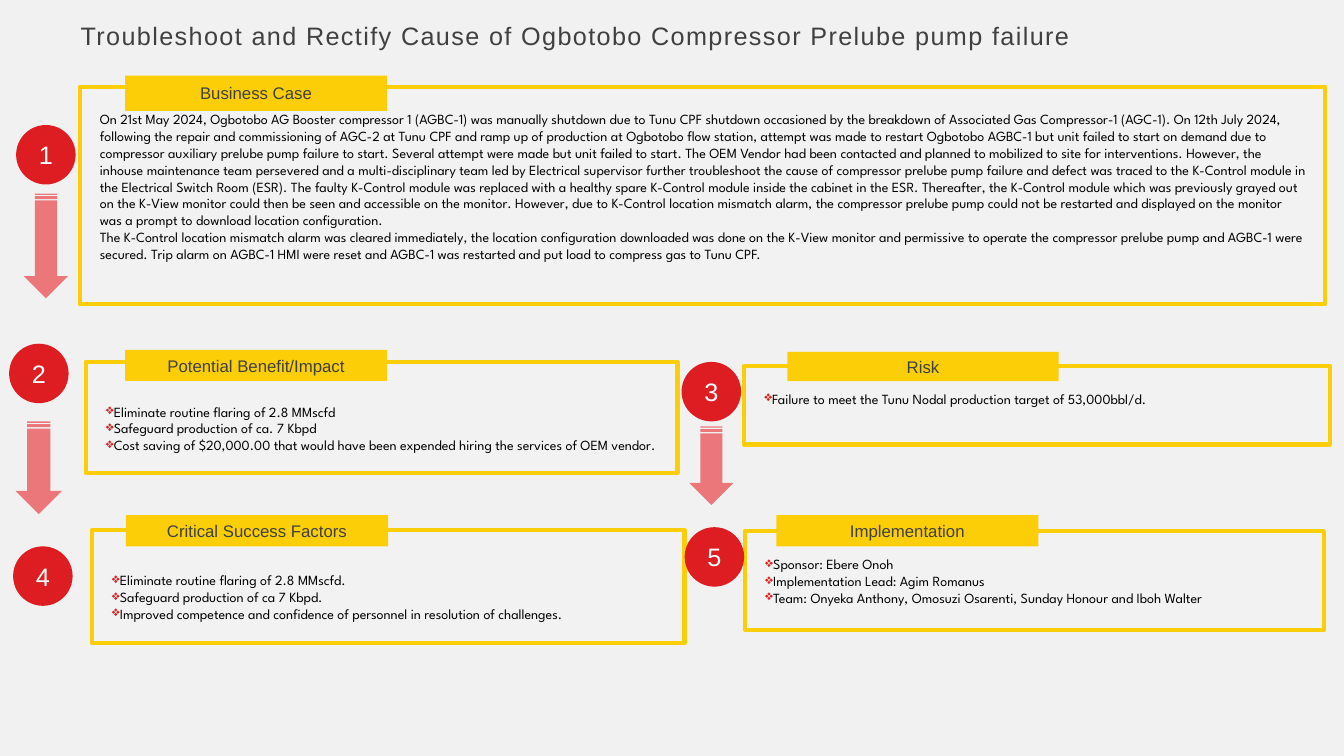
"""Builds a one-slide summary of the Ogbotobo compressor prelube pump repair."""
from lxml import etree
from pptx import Presentation
from pptx.dml.color import RGBColor
from pptx.enum.shapes import MSO_SHAPE
from pptx.enum.text import MSO_ANCHOR, PP_ALIGN
from pptx.oxml.ns import qn
from pptx.util import Inches, Pt

RECT, OVAL, ARROW = MSO_SHAPE.RECTANGLE, MSO_SHAPE.OVAL, MSO_SHAPE.STRIPED_RIGHT_ARROW
TOP, MIDDLE = MSO_ANCHOR.TOP, MSO_ANCHOR.MIDDLE
LEFT, CENTER = PP_ALIGN.LEFT, PP_ALIGN.CENTER

COLORS = {"page": "F1F1F1", "card": "F2F2F2", "gold": "FBCE07", "red": "DD1D21",
          "pink": "EB777A", "heading": "404040", "body": "000000", "number": "FFFFFF"}
HEADING_FONT, BODY_FONT = "Arial", "League Spartan"
BADGE_SIZE = 0.59
CARD_INSETS = (0.2, 0.24, 0.2, 0.05)
LOW_INSETS = (0.2, 0.41, 0.2, 0.05)
LABEL_INSETS = (0.1, 0.05, 0.1, 0.05)

TITLE = "Troubleshoot and Rectify Cause of Ogbotobo Compressor Prelube pump failure"
FAILURE = [
    "On 21st May 2024, Ogbotobo AG Booster compressor 1 (AGBC-1) was manually shutdown due to "
    "Tunu CPF shutdown occasioned by the breakdown of Associated Gas Compressor-1 (AGC-1).",
    "On 12th July 2024, following the repair and commissioning of AGC-2 at Tunu CPF and ramp up "
    "of production at Ogbotobo flow station, attempt was made to restart Ogbotobo AGBC-1 but unit "
    "failed to start on demand due to compressor auxiliary prelube pump failure to start.",
    "Several attempt were made but unit failed to start.",
    "The OEM Vendor had been contacted and planned to mobilized to site for interventions.",
    "However, the inhouse maintenance team persevered and a multi-disciplinary team led by "
    "Electrical supervisor further troubleshoot the cause of compressor prelube pump failure and "
    "defect was traced to the K-Control module in the Electrical Switch Room (ESR).",
    "The faulty K-Control module was replaced with a healthy spare K-Control module inside the "
    "cabinet in the ESR.",
    "Thereafter, the K-Control module which was previously grayed out on the K-View monitor could "
    "then be seen and accessible on the monitor.",
    "However, due to K-Control location mismatch alarm, the compressor prelube pump could not be "
    "restarted and displayed on the monitor was a prompt to download location configuration.",
]
RECOVERY = [
    "The K-Control location mismatch alarm was cleared immediately, the location configuration "
    "downloaded was done on the K-View monitor and permissive to operate the compressor prelube "
    "pump and AGBC-1 were secured.",
    "Trip alarm on AGBC-1 HMI were reset and AGBC-1 was restarted and put load to compress gas to "
    "Tunu CPF.",
]
SECTIONS = [
    {"number": "1", "heading": "Business Case", "bullet": None,
     "lines": [" ".join(sentences) for sentences in (FAILURE, RECOVERY)],
     "insets": CARD_INSETS, "card": (0.79, 0.86, 12.35, 2.16),
     "label": (1.24, 0.75, 2.6, 0.35), "badge": (0.16, 1.24), "arrow": (1.92, 1.04, 0.44)},
    {"number": "2", "heading": "Potential Benefit/Impact", "bullet": "❖",
     "lines": ["Eliminate routine flaring of 2.8 MMscfd",
               "Safeguard production of ca. 7 Kbpd",
               "Cost saving of $20,000.00 that would have been expended hiring the services "
               "of OEM vendor."],
     "insets": LOW_INSETS, "card": (0.85, 3.59, 5.87, 1.1),
     "label": (1.24, 3.47, 2.6, 0.31), "badge": (0.09, 3.41), "arrow": (4.18, 0.92, 0.46)},
    {"number": "3", "heading": "Risk", "bullet": "❖",
     "lines": ["Failure to meet the Tunu Nodal production target of 53,000bbl/d."],
     "insets": CARD_INSETS, "card": (7.38, 3.63, 5.81, 0.78),
     "label": (7.81, 3.49, 2.69, 0.29), "badge": (6.76, 3.59), "arrow": (4.23, 0.78, 0.44)},
    {"number": "4", "heading": "Critical Success Factors", "bullet": "❖",
     "lines": ["Eliminate routine flaring of 2.8 MMscfd.",
               "Safeguard production of ca 7 Kbpd.",
               "Improved competence and confidence of personnel in resolution of challenges."],
     "insets": LOW_INSETS, "card": (0.91, 5.26, 5.88, 1.12),
     "label": (1.25, 5.11, 2.6, 0.31), "badge": (0.13, 5.42), "arrow": None},
    {"number": "5", "heading": "Implementation", "bullet": "❖",
     "lines": ["Sponsor: Ebere Onoh",
               "Implementation Lead: Agim Romanus",
               "Team: Onyeka Anthony, Omosuzi Osarenti, Sunday Honour and Iboh Walter"],
     "insets": CARD_INSETS, "card": (7.39, 5.27, 5.74, 0.98),
     "label": (7.7, 5.11, 2.6, 0.31), "badge": (6.79, 5.23), "arrow": None},
]


def write(frame, lines, size, color, font=HEADING_FONT, align=CENTER, anchor=MIDDLE,
          insets=LABEL_INSETS, bullet=None, tracking=None, line_spacing=None):
    frame.word_wrap = True
    frame.vertical_anchor = anchor
    (frame.margin_left, frame.margin_top,
     frame.margin_right, frame.margin_bottom) = map(Inches, insets)
    for index, line in enumerate(lines):
        paragraph = frame.paragraphs[0] if index == 0 else frame.add_paragraph()
        paragraph.alignment = align
        if line_spacing:
            paragraph.line_spacing = line_spacing
        if bullet:
            properties = paragraph._p.get_or_add_pPr()
            properties.set("marL", "0")
            properties.set("indent", str(Inches(-0.19)))
            bullet_color = etree.SubElement(properties, qn("a:buClr"))
            etree.SubElement(bullet_color, qn("a:srgbClr"), val=COLORS["red"])
            etree.SubElement(properties, qn("a:buChar"), char=bullet)
        run = paragraph.add_run()
        run.text = line
        run.font.size = Pt(size)
        run.font.name = font
        run.font.bold = False
        run.font.color.rgb = RGBColor.from_string(COLORS[color])
        if tracking:
            run.font._element.set("spc", str(tracking * 100))


def add_block(slide, preset, box, fill, outline=None):
    block = slide.shapes.add_shape(preset, *map(Inches, box))
    block.shadow.inherit = False
    block.fill.solid()
    block.fill.fore_color.rgb = RGBColor.from_string(COLORS[fill])
    if outline:
        block.line.color.rgb = RGBColor.from_string(COLORS[outline])
        block.line.width = Pt(3)
    else:
        block.line.fill.background()
    return block


def add_section(slide, section):
    card = add_block(slide, RECT, section["card"], "card", outline="gold")
    write(card.text_frame, section["lines"], 10, "body", font=BODY_FONT, align=LEFT,
          anchor=TOP, insets=section["insets"], bullet=section["bullet"])
    label = add_block(slide, RECT, section["label"], "gold")
    write(label.text_frame, [section["heading"]], 12, "heading")
    left, top = section["badge"]
    badge = add_block(slide, OVAL, (left, top, BADGE_SIZE, BADGE_SIZE), "red")
    write(badge.text_frame, [section["number"]], 18, "number")
    if section["arrow"]:
        start, length, width = section["arrow"]
        center_x, center_y = left + BADGE_SIZE / 2, start + length / 2
        arrow = add_block(slide, ARROW, (center_x - length / 2, center_y - width / 2,
                                         length, width), "pink")
        arrow.rotation = 90


def main():
    deck = Presentation()
    deck.slide_width, deck.slide_height = Inches(13.33), Inches(7.5)
    slide = deck.slides.add_slide(deck.slide_layouts[5])
    slide.background.fill.solid()
    slide.background.fill.fore_color.rgb = RGBColor.from_string(COLORS["page"])
    title = slide.shapes.title
    title.left, title.top, title.width, title.height = map(Inches, (0.8, 0.24, 12.35, 0.32))
    write(title.text_frame, [TITLE], 18, "heading", align=LEFT, anchor=TOP,
          insets=(0, 0, 0, 0), tracking=1, line_spacing=0.9)
    for section in SECTIONS:
        add_section(slide, section)
    deck.save("out.pptx")


if __name__ == "__main__":
    main()
